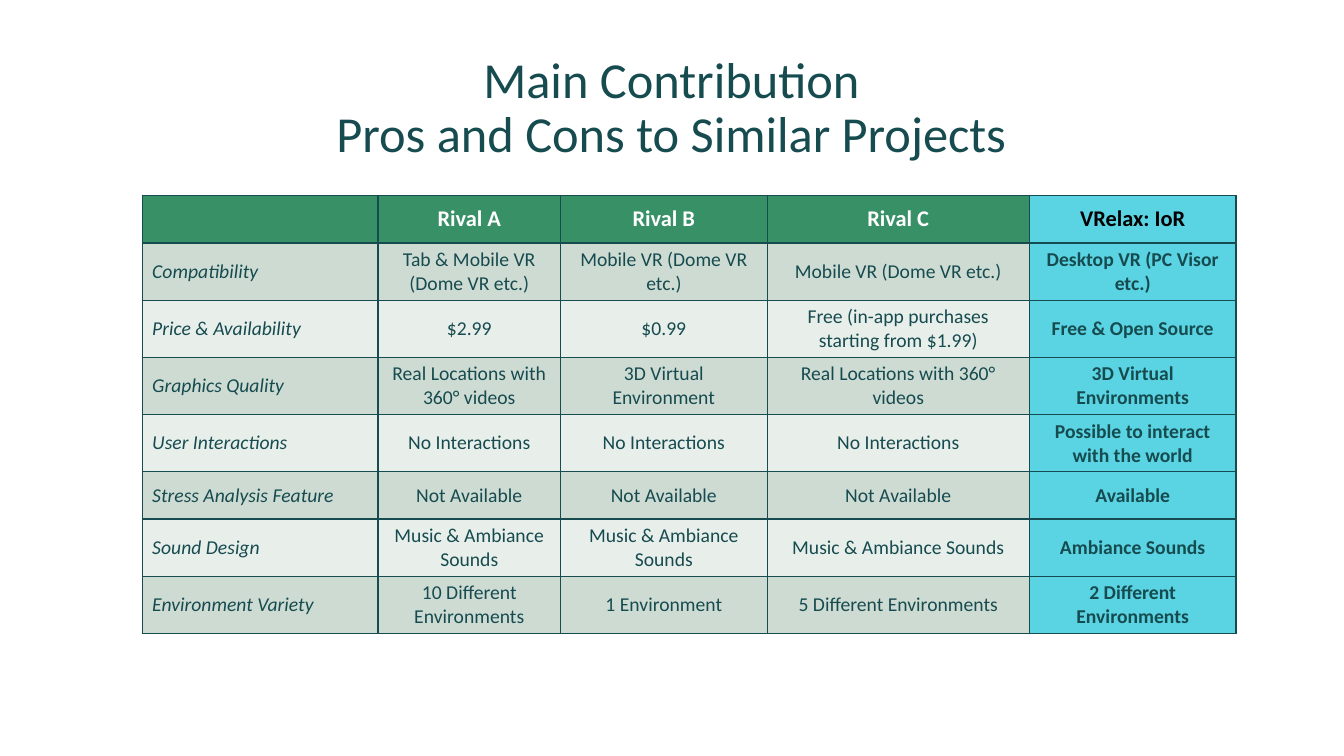
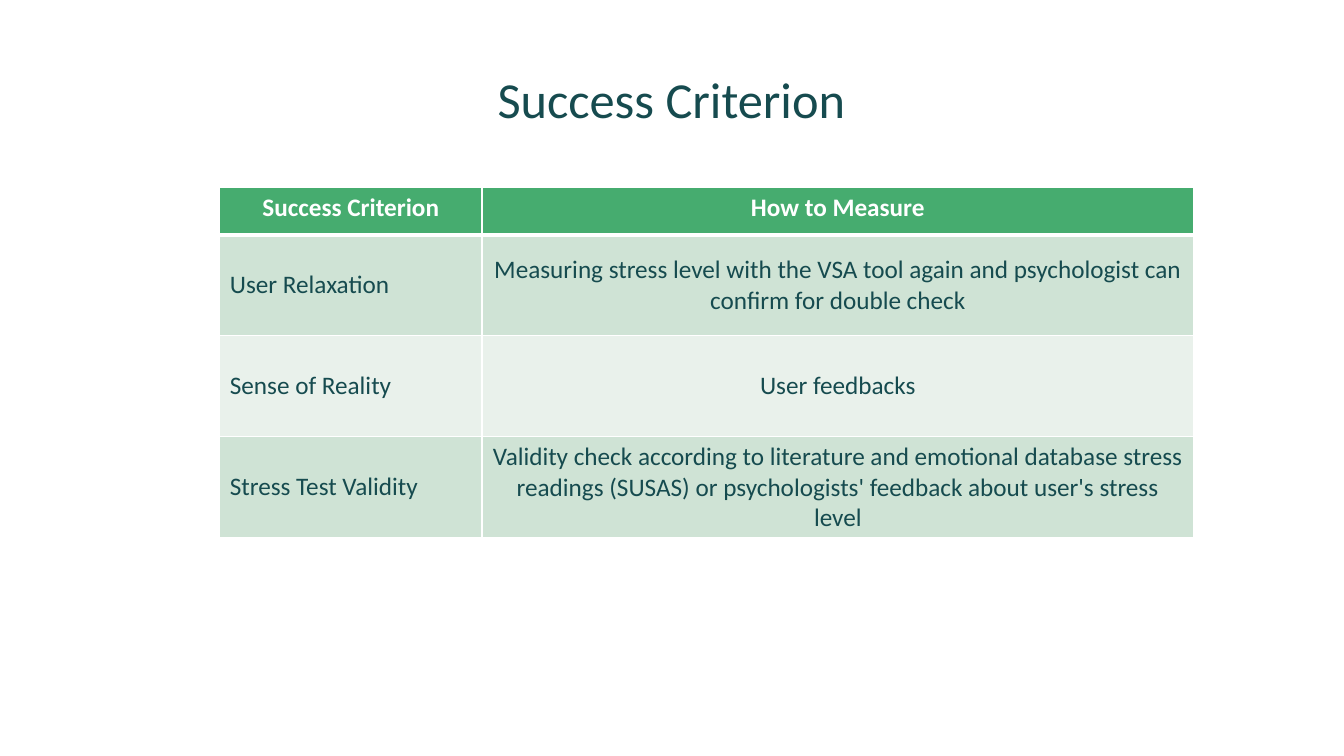
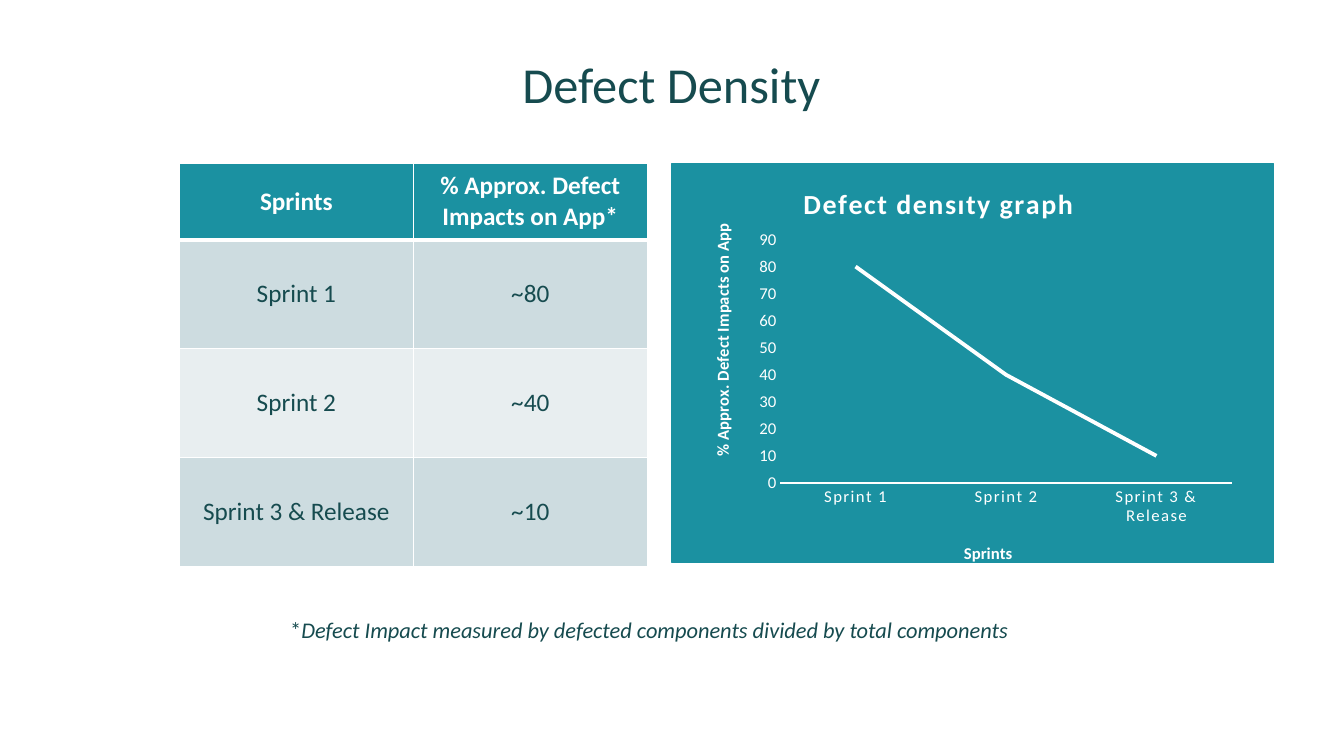
"""Builds three slides on a relaxation app: rivals, success criteria and defects."""
from lxml import etree
from pptx import Presentation
from pptx import util as u
from pptx.chart import data as cd
from pptx.dml import color as col
from pptx.enum import chart as ch, text as tx
from pptx.oxml import ns, parse_xml

PX = 9144
FONT = "Calibri"
INK = {
    "text": "164B4F", "white": "FFFFFF", "black": "000000", "teal": "1B91A1",
    "forest": "389066", "green": "46AC6F", "sky": "5AD3E3",
}
BANDS = {
    "forest": ("CEDBD3", "E8EEEA"),
    "green": ("CFE3D5", "E9F1EB"),
    "teal": ("CDDCE0", "E8EEF0"),
}
MID, TOP, LOW = tx.MSO_ANCHOR.MIDDLE, tx.MSO_ANCHOR.TOP, tx.MSO_ANCHOR.BOTTOM
LEFT, MIDDLE = tx.PP_ALIGN.LEFT, tx.PP_ALIGN.CENTER

RIVALS = [
    ["", "Rival A", "Rival B", "Rival C", "VRelax: IoR"],
    ["Compatibility", "Tab & Mobile VR (Dome VR etc.)", "Mobile VR (Dome VR etc.)",
     "Mobile VR (Dome VR etc.)", "Desktop VR (PC Visor etc.)"],
    ["Price & Availability", "$2.99", "$0.99",
     "Free (in-app purchases starting from $1.99)", "Free & Open Source"],
    ["Graphics Quality", "Real Locations with 360° videos", "3D Virtual Environment",
     "Real Locations with 360° videos", "3D Virtual Environments"],
    ["User Interactions"] + ["No Interactions"] * 3 + ["Possible to interact with the world"],
    ["Stress Analysis Feature"] + ["Not Available"] * 3 + ["Available"],
    ["Sound Design"] + ["Music & Ambiance Sounds"] * 3 + ["Ambiance Sounds"],
    ["Environment Variety", "10 Different Environments", "1 Environment",
     "5 Different Environments", "2 Different Environments"],
]
GOALS = [
    ["Success Criterion", "How to Measure"],
    ["User Relaxation", "Measuring stress level with the VSA tool again and "
     "psychologist can confirm for double check"],
    ["Sense of Reality", "User feedbacks"],
    ["Stress Test Validity", "Validity check according to literature and emotional database "
     "stress readings (SUSAS) or psychologists' feedback about user's stress level"],
]
SPRINTS = {"Sprint 1": 80, "Sprint 2": 40, "Sprint 3 & Release": 10}
IMPACT = "% Approx. Defect Impacts on App"


def box(*sizes):
    """Turn px lengths into EMU."""
    return [size * PX for size in sizes]


def tint(name):
    """Return the colour for a palette name or a hex string."""
    return col.RGBColor.from_string(INK.get(name, name))


def style(font, size, color="text", bold=False, italic=False):
    """Set all the traits of a font."""
    font.name, font.size = FONT, u.Pt(size)
    font.bold, font.italic = bold, italic
    font.color.rgb = tint(color)


def label(slide, spot, words, size, align=LEFT, anchor=TOP):
    """Add a wrapped text box and return its paragraph."""
    frame = slide.shapes.add_textbox(*box(*spot)).text_frame
    frame.word_wrap, frame.vertical_anchor = True, anchor
    para = frame.paragraphs[0]
    para.text, para.alignment, para.line_spacing = words, align, 0.9
    style(para.font, size)
    return para


def page(deck, title, top, high):
    """Add a blank slide with its title."""
    slide = deck.slides.add_slide(deck.slide_layouts[6])
    label(slide, (141, top, 1050, high), title, 36, MIDDLE, LOW)
    return slide


def edge(cell, color, over, under):
    """Draw the four borders of a cell, with top and bottom widths in points."""
    props = cell._tc.get_or_add_tcPr()
    for side, width in zip("LRTB", (1, 1, over, under)):
        line = etree.SubElement(props, ns.qn(f"a:ln{side}"), w=str(u.Pt(width)))
        fill = etree.SubElement(line, ns.qn("a:solidFill"))
        etree.SubElement(fill, ns.qn("a:srgbClr"), val=INK[color])


def write(cell, words, fill, align, anchor, **font):
    """Fill a cell and set its text."""
    cell.fill.solid()
    cell.fill.fore_color.rgb = tint(fill)
    cell.vertical_anchor = anchor
    para = cell.text_frame.paragraphs[0]
    para.text, para.alignment = words, align
    style(para.font, **font)


def grid(slide, spot, cols, rows, cells, head, line="white", rule=3, size=(18, 18),
         side=LEFT, anchor=MID, slant=False, star=None):
    """Add a banded table, with column star picked out."""
    table = slide.shapes.add_table(len(rows), len(cols),
                                   *box(*spot, sum(cols), sum(rows))).table
    for part, wide in zip(table.columns, cols):
        part.width = wide * PX
    for part, high in zip(table.rows, rows):
        part.height = high * PX
    for r, row in enumerate(cells):
        for c, words in enumerate(row):
            cell, pick = table.cell(r, c), c == star
            edge(cell, line, rule if r == 1 else 1, rule if r == 0 else 1)
            if r == 0:
                write(cell, words, "sky" if pick else head, MIDDLE, anchor, size=size[0],
                      color="black" if pick else "white", bold=True)
            else:
                write(cell, words, "sky" if pick else BANDS[head][(r - 1) % 2],
                      MIDDLE if c else side, MID, size=size[1], bold=pick,
                      italic=slant and c == 0)


def place(node, index, inner=False, **spot):
    """Give a chart part a fixed place, as shares of the chart."""
    for old in node.findall(ns.qn("c:layout")):
        node.remove(old)
    layout = etree.Element(ns.qn("c:layout"))
    manual = etree.SubElement(layout, ns.qn("c:manualLayout"))
    if inner:
        etree.SubElement(manual, ns.qn("c:layoutTarget"), val="inner")
    for key in "xy":
        etree.SubElement(manual, ns.qn(f"c:{key}Mode"), val="edge")
    for key, share in spot.items():
        etree.SubElement(manual, ns.qn(f"c:{key}"), val=str(share))
    node.insert(index, layout)


def name(title, words, size, x, y):
    """Write and place a chart or axis title, and return its font."""
    run = title.text_frame.paragraphs[0].add_run()
    run.text = words
    style(run.font, size, "white", bold=True)
    place(title._element, 1, x=x, y=y)
    return run.font


def space(font):
    """Spread the letters of a font by one point."""
    font._rPr.set("spc", "100")


def panel(chart, color):
    """Fill and outline the chart area."""
    fill = f'<a:solidFill><a:srgbClr val="{INK[color]}"/></a:solidFill>'
    props = parse_xml(f'<c:spPr {ns.nsdecls("c", "a")}>{fill}<a:ln w="9525">{fill}</a:ln></c:spPr>')
    chart._chartSpace.find(ns.qn("c:chart")).addnext(props)


def graph(slide, spot):
    """Add the line chart of defect density."""
    data = cd.CategoryChartData()
    data.categories = list(SPRINTS)
    data.add_series("Series 1", list(SPRINTS.values()))
    chart = slide.shapes.add_chart(ch.XL_CHART_TYPE.LINE, *box(*spot), data).chart
    style(chart.font, 10)
    panel(chart, "teal")
    chart.has_legend = False
    space(name(chart.chart_title, "Defect densıty graph", 20, 0.21, 0.04))
    cat, val = chart.category_axis, chart.value_axis
    name(cat.axis_title, "Sprints", 12, 0.48, 0.94)
    name(val.axis_title, IMPACT, 12, 0.06, 0.15)
    for axis in (cat, val):
        axis.has_major_gridlines = False
        axis.major_tick_mark = axis.minor_tick_mark = ch.XL_TICK_MARK.NONE
        style(axis.tick_labels.font, 12, "white")
    space(cat.tick_labels.font)
    cat.format.line.color.rgb = tint("white")
    cat.format.line.width = u.Pt(1)
    val.format.line.fill.background()
    val.minimum_scale, val.maximum_scale, val.major_unit = 0, 90, 10
    plot = chart.plots[0]
    plot.vary_by_categories = False
    line = plot.series[0]
    line.smooth = False
    line.marker.style = ch.XL_MARKER_STYLE.NONE
    line.format.line.color.rgb = tint("white")
    line.format.line.width = u.Pt(2.75)
    area = chart._chartSpace.find(".//" + ns.qn("c:plotArea"))
    place(area, 0, inner=True, x=0.18, y=0.19, w=0.75, h=0.61)


def main():
    """Build and save the deck."""
    deck = Presentation()
    deck.slide_width, deck.slide_height = box(1333, 750)

    slide = page(deck, "Main Contribution\vPros and Cons to Similar Projects", 42, 125)
    grid(slide, (141, 194), [234, 181, 205, 260, 205], [47] * 8, RIVALS, "forest",
         line="text", rule=1, size=(16, 14), slant=True, star=4)

    slide = page(deck, "Success Criterion", 52, 81)
    grid(slide, (218, 186), [260, 706], [47] + [100] * 3, GOALS, "green", anchor=TOP)

    slide = page(deck, "Defect Density", 52, 66)
    cells = [["Sprints", IMPACT + "*"]] + [[key, f"~{n}"] for key, n in SPRINTS.items()]
    grid(slide, (178, 162), [232] * 2, [76] + [108] * 3, cells, "teal", side=MIDDLE)
    note = label(slide, (278, 609, 885, 34), "*", 16)
    run = note.add_run()
    run.text = "Defect Impact measured by defected components divided by total components"
    run.font.italic = True
    graph(slide, (666, 162, 598, 402))

    deck.save("out.pptx")


if __name__ == "__main__":
    main()
